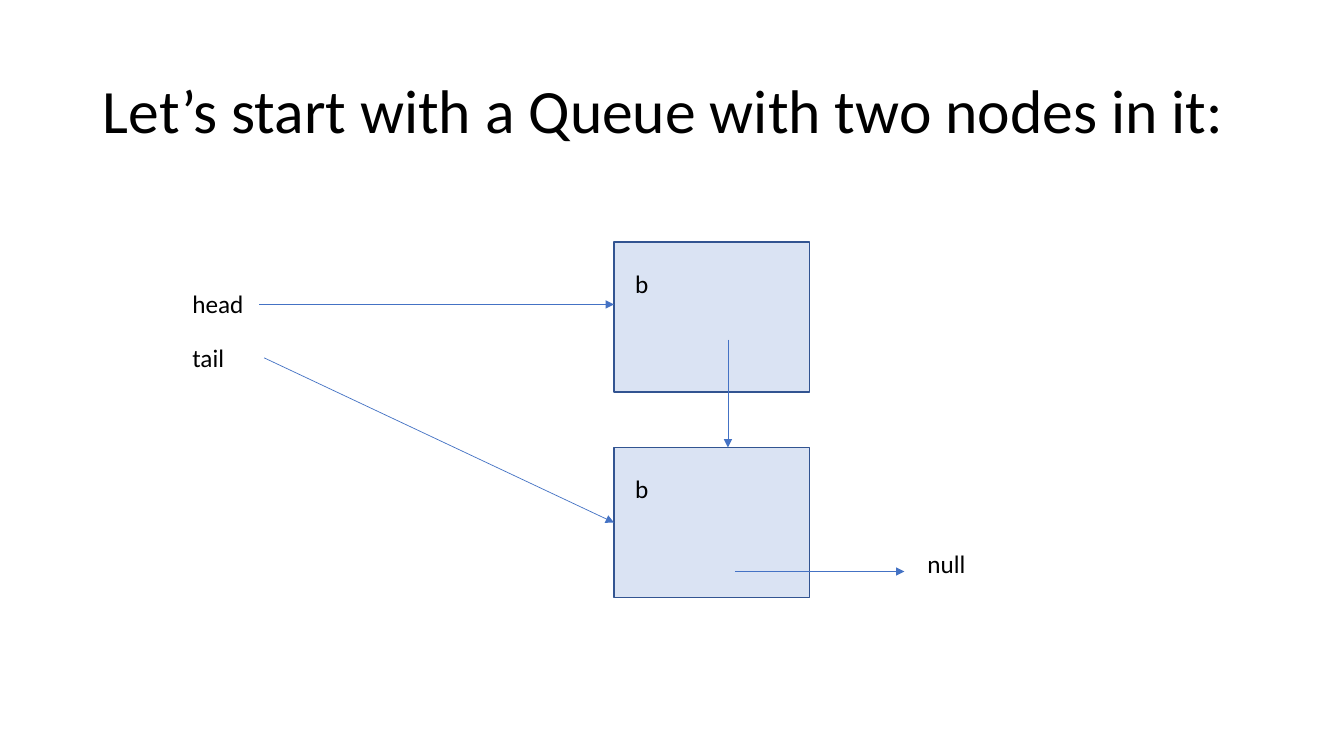
from pptx import Presentation
from pptx.dml.color import RGBColor
from pptx.enum.shapes import MSO_CONNECTOR, MSO_SHAPE
from pptx.enum.text import MSO_ANCHOR, MSO_AUTO_SIZE, PP_ALIGN
from pptx.oxml.ns import qn
from pptx.util import Inches, Pt
from lxml.etree import SubElement


def color(hex_string):
    return RGBColor.from_string(hex_string)


class QueueSlide:
    font_name = "Calibri"
    text_color = "000000"
    node_fill = "DAE3F3"
    node_line = "325491"
    arrow_color = "4472C4"

    def __init__(self, deck):
        self.slide = deck.slides.add_slide(deck.slide_layouts[5])
        self.shapes = self.slide.shapes

    def format_text(self, paragraph, size):
        for span in paragraph.runs:
            span.font.name = self.font_name
            span.font.size = Pt(size)
            span.font.color.rgb = color(self.text_color)

    def title(self, text, left, top, width, height):
        title = self.shapes.title
        title.left, title.top = Inches(left), Inches(top)
        title.width, title.height = Inches(width), Inches(height)
        frame = title.text_frame
        frame.text = text
        frame.word_wrap = True
        frame.auto_size = MSO_AUTO_SIZE.NONE
        frame.vertical_anchor = MSO_ANCHOR.MIDDLE
        paragraph = frame.paragraphs[0]
        paragraph.alignment = PP_ALIGN.LEFT
        paragraph.line_spacing = 0.9
        self.format_text(paragraph, 44)

    def label(self, text, left, top, width):
        box = self.shapes.add_textbox(Inches(left), Inches(top), Inches(width), Inches(0.4))
        frame = box.text_frame
        frame.text = text
        frame.word_wrap = True
        frame.auto_size = MSO_AUTO_SIZE.SHAPE_TO_FIT_TEXT
        self.format_text(frame.paragraphs[0], 18)

    def node(self, value, left, top):
        box = self.shapes.add_shape(
            MSO_SHAPE.RECTANGLE, Inches(left), Inches(top), Inches(1.94), Inches(1.49))
        box.shadow.inherit = False
        box.fill.solid()
        box.fill.fore_color.rgb = color(self.node_fill)
        box.line.color.rgb = color(self.node_line)
        box.line.width = Pt(1)
        self.label(value, left + 0.11, top + 0.21, 0.68)
        return box

    def arrow(self, start, end, target=None, side=1):
        connector = self.shapes.add_connector(
            MSO_CONNECTOR.STRAIGHT, *(Inches(value) for value in start + end))
        connector.line.color.rgb = color(self.arrow_color)
        connector.line.width = Pt(0.5)
        if target is not None:
            connector.end_connect(target, side)
        properties = connector.element.spPr
        SubElement(properties.find(qn("a:ln")), qn("a:tailEnd"), type="triangle")
        SubElement(properties, qn("a:effectLst"))


def main():
    deck = Presentation()
    deck.slide_width, deck.slide_height = Inches(13.33), Inches(7.5)
    page = QueueSlide(deck)
    page.title("Let’s start with a Queue with two nodes in it:", 0.92, 0.4, 11.5, 1.45)

    # Queue nodes
    first_node, last_node = [page.node("b", 6.09, top) for top in (2.4, 4.44)]

    # Links from each node to the next
    page.arrow((7.22, 3.37), (7.22, 4.44))
    page.arrow((7.29, 5.67), (8.97, 5.67))
    page.label("null", 9.1, 5.39, 1.07)

    # Head and tail references
    page.label("head", 1.81, 2.81, 1.62)
    page.label("tail", 1.81, 3.35, 1.62)
    page.arrow((2.57, 3.02), (6.09, 3.02))
    page.arrow((2.62, 3.55), (6.09, 5.18), target=last_node)

    deck.save("out.pptx")


if __name__ == "__main__":
    main()
